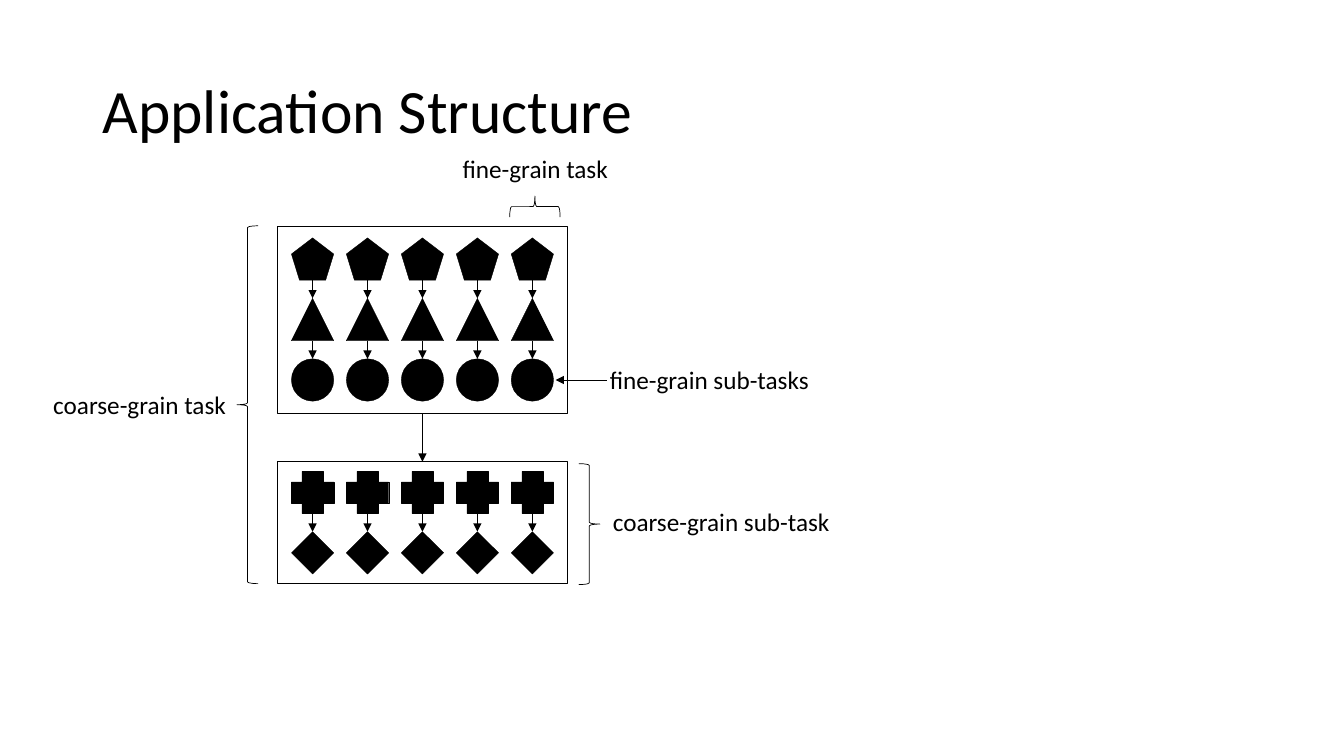
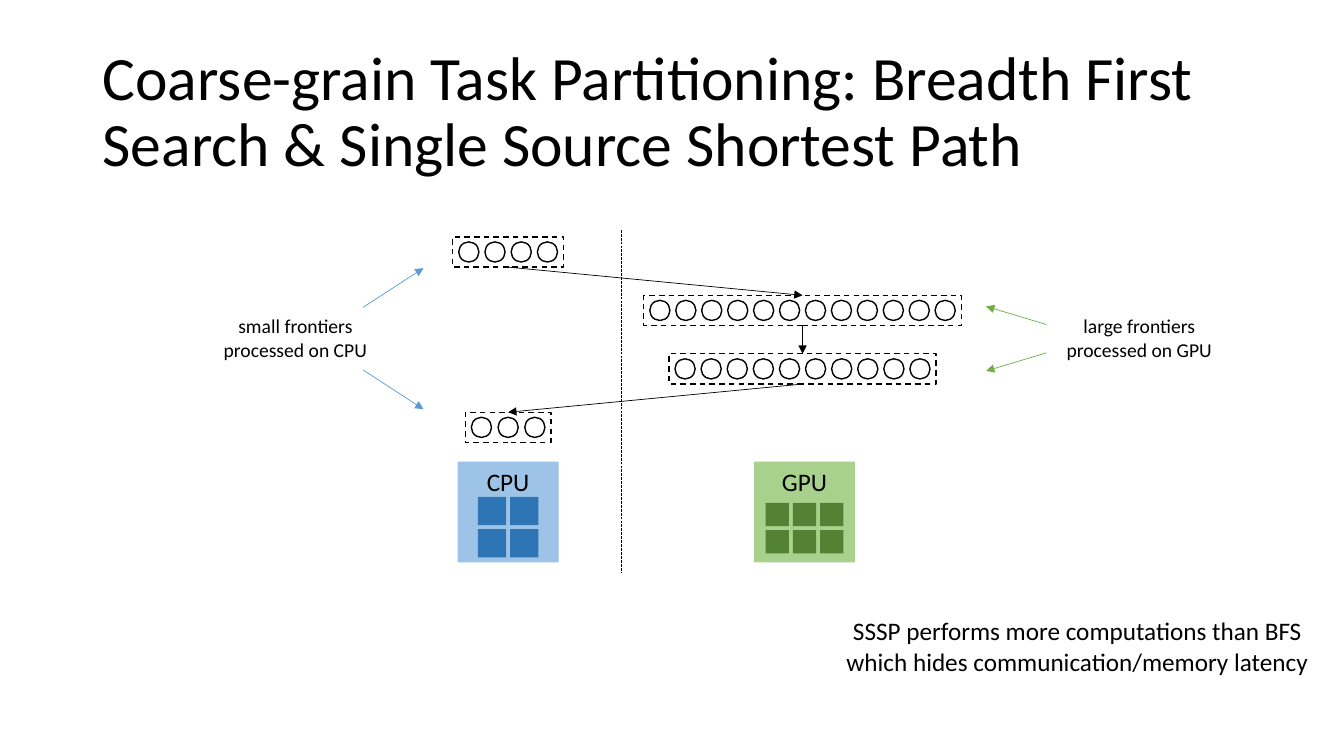
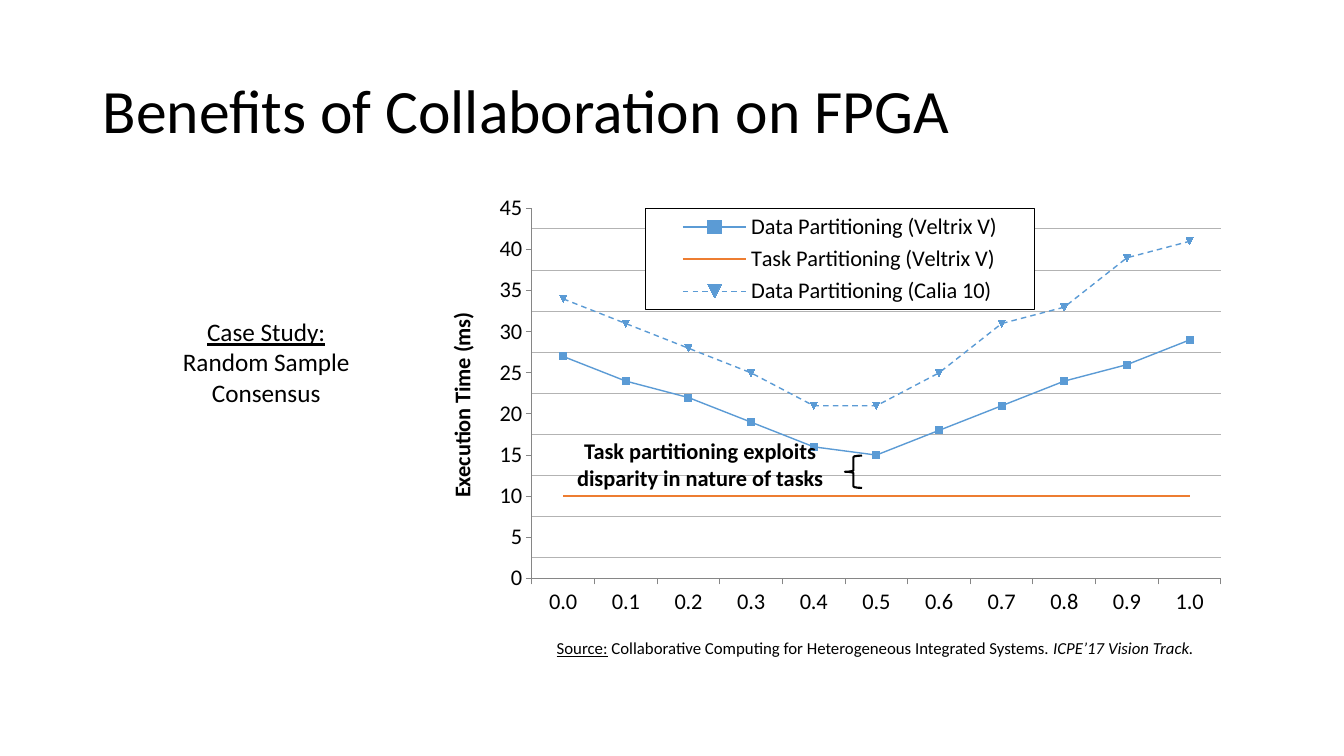
from pptx import Presentation
from pptx.chart.data import CategoryChartData
from pptx.dml.color import RGBColor
from pptx.enum.chart import XL_CHART_TYPE, XL_LEGEND_POSITION, XL_TICK_MARK
from pptx.enum.dml import MSO_LINE
from pptx.enum.shapes import MSO_CONNECTOR, MSO_SHAPE
from pptx.enum.text import MSO_ANCHOR, PP_ALIGN
from pptx.oxml import parse_xml
from pptx.oxml.ns import nsdecls, qn
from pptx.oxml.xmlchemy import OxmlElement
from pptx.util import Inches, Pt

FONT = "Calibri"
BLACK, WHITE, GREY = "000000", "FFFFFF", "B3B3B3"
BLUE, GREEN, ORANGE = "5B9BD5", "70AD47", "ED7D31"
TITLE = (0.92, 0.4, 11.5, 1.45)
LEFT, MID, RIGHT = PP_ALIGN.LEFT, PP_ALIGN.CENTER, PP_ALIGN.RIGHT


def paint(part, color):
    if color:
        part.solid()
        part.fore_color.rgb = RGBColor.from_string(color)
    else:
        part.background()


def stroke(line, color, width, dash=None):
    paint(line.fill, color)
    if color:
        line.width = Pt(width)
    if dash:
        line.dash_style = dash


def style(font, size, bold=False):
    font.name, font.size, font.bold = FONT, Pt(size), bold
    font.color.rgb = RGBColor.from_string(BLACK)


def write(frame, words, size, align=LEFT, bold=False):
    frame.word_wrap = True
    frame.text = words
    for para in frame.paragraphs:
        para.alignment = align
        for run in para.runs:
            style(run.font, size, bold)


def label(slide, box, words, size=18, align=LEFT, bold=False):
    frame = slide.shapes.add_textbox(*map(Inches, box)).text_frame
    write(frame, words, size, align, bold)
    return frame


def shape(slide, kind, box, fill=None, line=None, width=0.25, dash=None):
    item = slide.shapes.add_shape(kind, *map(Inches, box))
    item.shadow.inherit = False
    paint(item.fill, fill)
    stroke(item.line, line, width, dash)
    return item


def link(slide, start, end, color=BLACK, width=0.5, dash=None, head=True):
    item = slide.shapes.add_connector(
        MSO_CONNECTOR.STRAIGHT, *map(Inches, (*start, *end)))
    stroke(item.line, color, width, dash)
    props = item.element.find(qn("p:spPr"))
    if head:
        tail = OxmlElement("a:tailEnd")
        tail.set("type", "triangle")
        props.find(qn("a:ln")).append(tail)
    props.append(OxmlElement("a:effectLst"))
    return item


def join(slide, top, low, width=0.5):
    item = link(slide, (0, 0), (1, 1), width=width)
    item.begin_connect(top, 2)
    item.end_connect(low, 0)


def start(deck, words):
    slide = deck.slides.add_slide(deck.slide_layouts[6])
    frame = label(slide, TITLE, words, 44)
    frame.vertical_anchor = MSO_ANCHOR.MIDDLE
    frame.paragraphs[0].line_spacing = 0.9
    return slide


def tasks(slide, box, kinds, cols=5, size=0.42, side=0.14, step=0.6):
    x, y, w, h = box
    frame = shape(slide, MSO_SHAPE.RECTANGLE, box, line=BLACK)
    pitch = (w - 2 * side - size) / (cols - 1)
    first = y + (h - step * (len(kinds) - 1) - size) / 2
    for col in range(cols):
        left = x + side + col * pitch
        mid = left + size / 2
        for row, kind in enumerate(kinds):
            top = first + row * step
            shape(slide, kind, (left, top, size, size), BLACK, BLACK)
            if row:
                link(slide, (mid, top - step + size), (mid, top), width=0.25)
    return frame


def front(slide, box, count, pad=0.06, dot=0.2):
    x, y, w, h = box
    step = (w - 2 * pad - dot) / (count - 1)
    for col in range(count):
        spot = (x + pad + col * step, y + (h - dot) / 2, dot, dot)
        shape(slide, MSO_SHAPE.OVAL, spot, WHITE, BLACK, 1)
    return shape(slide, MSO_SHAPE.RECTANGLE, box, None, BLACK, 1, MSO_LINE.DASH)


def chip(slide, box, name, fill, core, cols, size, drop, gap=0.04):
    x, y, w, h = box
    body = shape(slide, MSO_SHAPE.RECTANGLE, box, fill)
    body.text_frame.vertical_anchor = MSO_ANCHOR.TOP
    write(body.text_frame, name, 18, MID)
    step = size + gap
    left = x + (w - cols * step + gap) / 2
    for row in range(2):
        for col in range(cols):
            spot = (left + col * step, y + drop * h + row * step, size, size)
            shape(slide, MSO_SHAPE.RECTANGLE, spot, core)


def place(x, y, w, h, inner=False):
    part = '<c:layoutTarget val="inner"/>' if inner else ""
    part += '<c:xMode val="edge"/><c:yMode val="edge"/>'
    for key, val in zip("xywh", (x, y, w, h)):
        part += f'<c:{key} val="{val}"/>'
    return parse_xml(f'<c:layout {nsdecls("c")}><c:manualLayout>{part}'
                     '</c:manualLayout></c:layout>')


def look(line, fill=None):
    back = f'<a:solidFill><a:srgbClr val="{fill}"/></a:solidFill>' if fill else ""
    return parse_xml(
        f'<c:spPr {nsdecls("c", "a")}>{back}<a:ln w="9525"><a:solidFill>'
        f'<a:srgbClr val="{line}"/></a:solidFill></a:ln></c:spPr>')


def graph(slide, box):
    data = CategoryChartData()
    data.categories = [f"{n / 10:.1f}" for n in range(11)]
    flat = [10] * 11
    rows = [
        ("Data Partitioning (Veltrix V)",
         [27, 24, 22, 19, 16, 15, 18, 21, 24, 26, 29], BLUE, 1, None),
        ("Task Partitioning (Veltrix V)", flat, ORANGE, 1.5, None),
        ("Data Partitioning (Calia 10)",
         [34, 31, 28, 25, 21, 21, 25, 31, 33, 39, 41], BLUE, 1, MSO_LINE.DASH),
        ("Task Partitioning (Calia 10)", flat, ORANGE, 1.5, MSO_LINE.DASH),
    ]
    for name, vals, *_ in rows:
        data.add_series(name, vals)
    chart = slide.shapes.add_chart(
        XL_CHART_TYPE.LINE_MARKERS, *map(Inches, box), data).chart
    style(chart.font, 16)
    chart.has_title = False
    plot = chart.plots[0]
    plot.vary_by_categories = False
    for item, (_, _, color, width, dash) in zip(plot.series, rows):
        item.smooth = False
        stroke(item.format.line, color, width, dash)
        if color == BLUE:
            item.marker.size = 5
            paint(item.marker.format.fill, color)
            stroke(item.marker.format.line, color, 0.75)
        else:
            mark = item.marker.format
            item.marker.style = None
            sign = OxmlElement("c:symbol")
            sign.set("val", "none")
            paint(mark.fill, None)
            node = item.marker.format.fill and item.format.line
            chart.element.findall(".//" + qn("c:ser"))[
                [row[0] for row in rows].index(item.name)
            ].find(qn("c:marker")).insert(0, sign)
    for axis in (chart.category_axis, chart.value_axis):
        axis.major_tick_mark = XL_TICK_MARK.OUTSIDE
        axis.minor_tick_mark = XL_TICK_MARK.NONE
        stroke(axis.format.line, "868686", 0.75)
        style(axis.tick_labels.font, 16)
    axis = chart.value_axis
    axis.minimum_scale, axis.maximum_scale = 0, 45
    axis.major_unit, axis.minor_unit = 5, 2.5
    axis.has_major_gridlines = False
    axis.has_minor_gridlines = True
    write(axis.axis_title.text_frame, "Execution Time (ms)", 16, MID, True)
    chart.has_legend = True
    chart.legend.position = XL_LEGEND_POSITION.LEFT
    chart.legend.include_in_layout = True
    style(chart.legend.font, 16)

    root = chart.element
    root.find(".//" + qn("c:minorGridlines")).append(look(GREY))
    area = root.find(".//" + qn("c:plotArea"))
    for old in area.findall(qn("c:layout")):
        area.remove(old)
    area.insert(0, place(0.13, 0.05, 0.85, 0.84, True))
    key = root.find(".//" + qn("c:legend"))
    for old in key.findall(qn("c:layout")):
        key.remove(old)
    gone = parse_xml(f'<c:legendEntry {nsdecls("c")}><c:idx val="3"/>'
                     '<c:delete val="1"/></c:legendEntry>')
    key.find(qn("c:legendPos")).addnext(gone)
    gone.addnext(place(0.27, 0.05, 0.48, 0.23))
    key.find(qn("c:overlay")).addnext(look(BLACK, WHITE))


def build(deck):
    slide = start(deck, "Application Structure")
    top = tasks(slide, (2.75, 2.24, 2.88, 1.86),
                (MSO_SHAPE.REGULAR_PENTAGON, MSO_SHAPE.ISOSCELES_TRIANGLE,
                 MSO_SHAPE.OVAL))
    low = tasks(slide, (2.75, 4.58, 2.88, 1.21),
                (MSO_SHAPE.CROSS, MSO_SHAPE.DIAMOND))
    join(slide, top, low, 0.25)
    label(slide, (0.41, 3.81, 1.93, 0.4), "coarse-grain task", align=RIGHT)
    label(slide, (5.98, 4.97, 2.37, 0.4), "coarse-grain sub-task")
    label(slide, (5.95, 3.57, 2.2, 0.4), "fine-grain sub-tasks")
    label(slide, (4.49, 1.47, 1.66, 0.4), "fine-grain task")
    link(slide, (6.02, 3.77), (5.51, 3.77))
    for kind, box, turn in (
            (MSO_SHAPE.LEFT_BRACE, (2.35, 2.24, 0.21, 3.55), 0),
            (MSO_SHAPE.RIGHT_BRACE, (5.74, 4.6, 0.21, 1.2), 0),
            (MSO_SHAPE.LEFT_BRACE, (5.2, 1.8, 0.21, 0.5), 90)):
        shape(slide, kind, box, line=BLACK, width=0.5).rotation = turn


def split(deck):
    slide = start(deck, "Coarse-grain Task Partitioning: "
                  "Breadth First Search & Single Source Shortest Path")
    chip(slide, (4.54, 4.58, 1, 1), "CPU", "9DC3E6", "2E75B6", 2, 0.28, 0.35)
    chip(slide, (7.48, 4.58, 1, 1), "GPU", "A9D18E", "548235", 3, 0.23, 0.41)
    link(slide, (6.16, 2.28), (6.16, 5.68), width=0.25,
         dash=MSO_LINE.LONG_DASH, head=False)
    steps = [(5.04, 1.1, 4), (7.96, 3.15, 12), (7.96, 2.65, 10), (5.04, 0.85, 3)]
    fronts = [front(slide, (mid - w / 2, 2.35 + 0.58 * row, w, 0.3), count)
              for row, (mid, w, count) in enumerate(steps)]
    for top, low in zip(fronts, fronts[1:]):
        join(slide, top, low)
    for left, words in ((2.09, "small frontiers processed on CPU"),
                        (10.46, "large frontiers processed on GPU")):
        label(slide, (left, 3.07, 1.68, 0.57), words, 14, MID)
    for x, end, near, far, color in ((3.6, 4.2, 0.31, 0.7, BLUE),
                                     (10.38, 9.78, 0.14, 0.32, GREEN)):
        for sign in (-1, 1):
            link(slide, (x, 3.36 + sign * near), (end, 3.36 + sign * far), color)
    label(slide, (8.04, 6.06, 5.29, 0.71), "SSSP performs more computations "
          "than BFS which hides communication/memory latency", align=MID)


def gains(deck):
    slide = start(deck, "Benefits of Collaboration on FPGA")
    case = label(slide, (1.38, 3.09, 2.52, 1.01),
                 "Case Study:\nRandom Sample Consensus", align=MID)
    case.paragraphs[0].runs[0].font.underline = True
    graph(slide, (4.23, 1.85, 8.04, 4.37))
    para = label(slide, (5.37, 6.28, 6.62, 0.3), "Source:", 12, MID).paragraphs[0]
    para.runs[0].font.underline = True
    for words, slant in (
            (" Collaborative Computing for Heterogeneous Integrated Systems. ",
             False), ("ICPE’17 Vision Track.", True)):
        run = para.add_run()
        run.text = words
        style(run.font, 12)
        run.font.italic = slant
    shape(slide, MSO_SHAPE.LEFT_BRACE, (8.38, 4.52, 0.17, 0.32),
          line=BLACK, width=1.5)
    label(slide, (5.62, 4.29, 2.65, 0.64), "Task partitioning exploits "
          "disparity in nature of tasks", 16, MID, True)


def main():
    deck = Presentation()
    deck.slide_width, deck.slide_height = Inches(13.33), Inches(7.5)
    build(deck)
    split(deck)
    gains(deck)
    deck.save("out.pptx")


if __name__ == "__main__":
    main()
